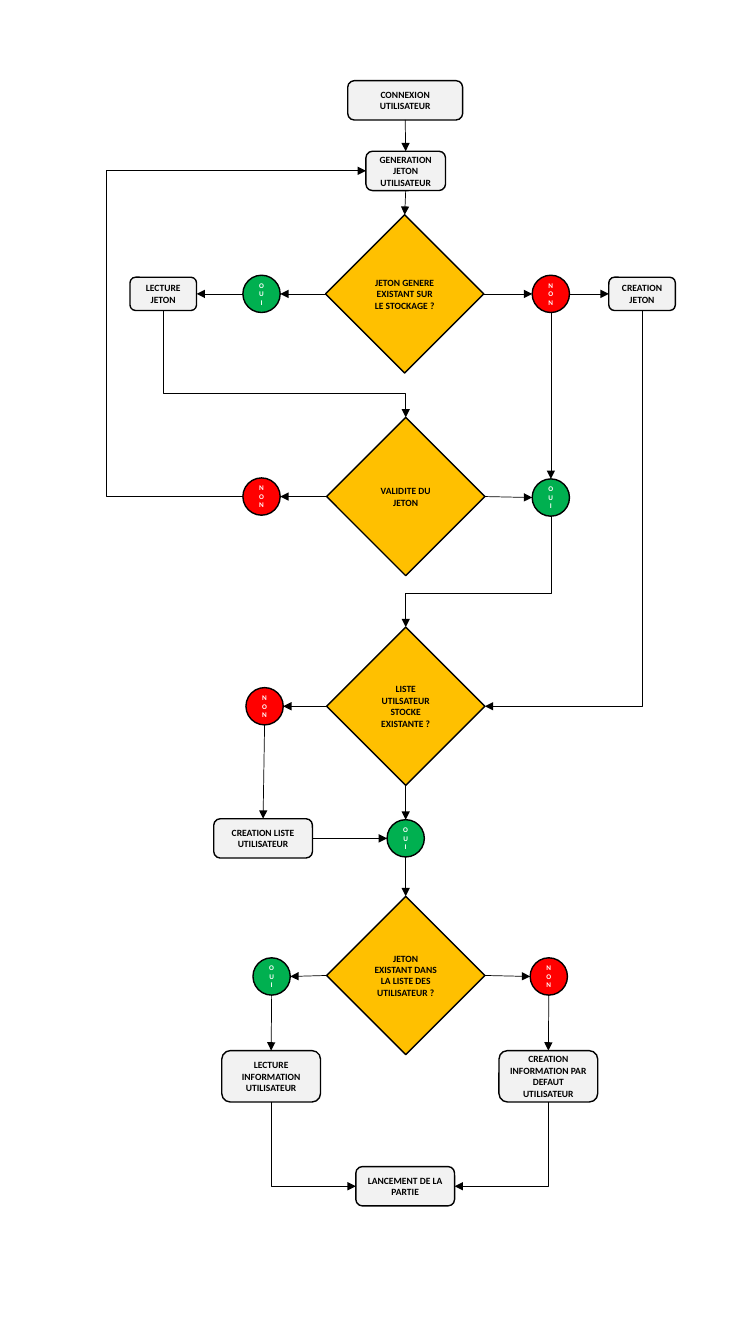
import lxml.etree
import pptx
import pptx.dml.color
import pptx.enum.shapes
import pptx.enum.text
import pptx.oxml.ns
import pptx.util

RGBColor = pptx.dml.color.RGBColor
SHAPES = pptx.enum.shapes.MSO_SHAPE
CONNECTORS = pptx.enum.shapes.MSO_CONNECTOR

BLACK = RGBColor(0x00, 0x00, 0x00)
WHITE = RGBColor(0xFF, 0xFF, 0xFF)
GREY = RGBColor(0xF2, 0xF2, 0xF2)
AMBER = RGBColor(0xFF, 0xC0, 0x00)
GREEN = RGBColor(0x00, 0xB0, 0x50)
RED = RGBColor(0xFF, 0x00, 0x00)

PX = 9144  # 100 px to the inch
SLIDE_WIDTH, SLIDE_HEIGHT = 750, 1333
DIAMOND, CIRCLE = 157, 37

# Steps: name: (text, left, top, width, height)
STEPS = {
    "connect": ("CONNEXION UTILISATEUR", 345, 80, 114, 39),
    "generate": ("GENERATION JETON UTILISATEUR", 363, 150, 79, 39),
    "read token": ("LECTURE JETON", 129, 275, 66, 33),
    "create token": ("CREATION JETON", 604, 275, 66, 33),
    "create list": ("CREATION LISTE UTILISATEUR", 212, 812, 98, 39),
    "read info": ("LECTURE INFORMATION UTILISATEUR", 220, 1042, 98, 51),
    "create info": ("CREATION INFORMATION PAR DEFAUT UTILISATEUR", 495, 1042, 98, 51),
    "launch": ("LANCEMENT DE LA PARTIE", 353, 1157, 98, 39),
}

# Decisions: name: (text, left, top)
DECISIONS = {
    "stored?": ("JETON GENERE EXISTANT SUR LE STOCKAGE ?", 323, 213),
    "valid?": ("VALIDITE DU JETON", 324, 414),
    "list?": ("LISTE UTILSATEUR STOCKE EXISTANTE ?", 324, 622),
    "in list?": ("JETON EXISTANT DANS LA LISTE DES UTILISATEUR ?", 324, 889),
}

# Answers: name: (text, left, top)
ANSWERS = {
    "stored yes": ("OUI", 241, 273),
    "stored no": ("NON", 528, 273),
    "valid no": ("NON", 241, 474),
    "valid yes": ("OUI", 528, 475),
    "list no": ("NON", 244, 682),
    "list yes": ("OUI", 384, 813),
    "in list yes": ("OUI", 251, 950),
    "in list no": ("NON", 526, 950),
}

# Straight arrows: (from, side, to, side)
ARROWS = [
    ("connect", "bottom", "generate", "top"),
    ("generate", "bottom", "stored?", "top"),
    ("stored?", "left", "stored yes", "right"),
    ("stored?", "right", "stored no", "left"),
    ("stored yes", "left", "read token", "right"),
    ("stored no", "right", "create token", "left"),
    ("stored no", "bottom", "valid yes", "top"),
    ("valid?", "left", "valid no", "right"),
    ("valid?", "right", "valid yes", "left"),
    ("list?", "left", "list no", "right"),
    ("list?", "bottom", "list yes", "top"),
    ("list no", "bottom", "create list", "top"),
    ("create list", "right", "list yes", "left"),
    ("list yes", "bottom", "in list?", "top"),
    ("in list?", "left", "in list yes", "right"),
    ("in list?", "right", "in list no", "left"),
    ("in list yes", "bottom", "read info", "top"),
    ("in list no", "bottom", "create info", "top"),
]

# Bent arrows: (from, side, to, side, position of the middle leg or None for one corner)
BENT_ARROWS = [
    ("read token", "bottom", "valid?", "top", 390),
    ("valid yes", "bottom", "list?", "top", 589),
    ("valid no", "left", "generate", "left", 106),
    ("create token", "bottom", "list?", "right", None),
    ("read info", "bottom", "launch", "left", None),
    ("create info", "bottom", "launch", "right", None),
]

SIDES = {"top": (0.5, 0), "left": (0, 0.5), "bottom": (0.5, 1), "right": (1, 0.5)}


def set_attributes(target, values):
    for name, value in values.items():
        setattr(target, name, value)


def add_node(slide, kind, text, box, fill, color, size, inset):
    shape = slide.shapes.add_shape(kind, *(length * PX for length in box))
    shape.shadow.inherit = False
    shape.fill.solid()
    shape.fill.fore_color.rgb = fill
    shape.line.color.rgb = BLACK
    shape.line.width = pptx.util.Pt(1)
    frame = shape.text_frame
    set_attributes(frame, {
        "word_wrap": True, "vertical_anchor": pptx.enum.text.MSO_ANCHOR.MIDDLE,
        "margin_left": inset * PX, "margin_right": inset * PX,
        "margin_top": inset * PX // 2, "margin_bottom": inset * PX // 2,
    })
    paragraph = frame.paragraphs[0]
    paragraph.alignment = pptx.enum.text.PP_ALIGN.CENTER
    run = paragraph.add_run()
    run.text = text
    set_attributes(run.font, {"name": "Calibri", "size": pptx.util.Pt(size), "bold": True})
    run.font.color.rgb = color


def side_point(box, side):
    left, top, width, height = box
    across, down = SIDES[side]
    return left + across * width, top + down * height


def add_arrow(slide, kind, start, end):
    connector = slide.shapes.add_connector(
        kind, *(round(value * PX) for value in (*start, *end)))
    connector.line.color.rgb = BLACK
    connector.line.width = pptx.util.Pt(0.5)
    qualified = pptx.oxml.ns.qn
    properties = connector.element.spPr
    lxml.etree.SubElement(properties.find(qualified("a:ln")), qualified("a:tailEnd"), type="triangle")
    lxml.etree.SubElement(properties, qualified("a:effectLst"))
    return connector


def add_bent_arrow(slide, start, end, from_side, middle):
    (x1, y1), (x2, y2) = start, end
    downward = from_side == "bottom"
    if downward:
        # Lay the elbow on its side; a quarter turn then sends it downward
        center_x, center_y = (x1 + x2) / 2, (y1 + y2) / 2
        half_run, half_rise = (y2 - y1) / 2, (x2 - x1) / 2
        start = center_x - half_run, center_y + half_rise
        end = center_x + half_run, center_y - half_rise
    connector = add_arrow(slide, CONNECTORS.ELBOW, start, end)
    qualified = pptx.oxml.ns.qn
    properties = connector.element.spPr
    if downward:
        properties.find(qualified("a:xfrm")).set("rot", str(90 * 60000))
    geometry = properties.find(qualified("a:prstGeom"))
    if middle is None:
        geometry.set("prst", "bentConnector2")
    else:
        first, last = (y1, y2) if downward else (x1, x2)
        share = round((middle - first) / (last - first) * 100000)
        guides = geometry.find(qualified("a:avLst"))
        lxml.etree.SubElement(guides, qualified("a:gd"), name="adj1", fmla=f"val {share}")


def main():
    presentation = pptx.Presentation()
    presentation.slide_width = SLIDE_WIDTH * PX
    presentation.slide_height = SLIDE_HEIGHT * PX
    slide = presentation.slides.add_slide(presentation.slide_layouts[6])

    # Steps, decisions and answers
    boxes = {}
    for name, (text, *box) in STEPS.items():
        boxes[name] = box
        add_node(slide, SHAPES.ROUNDED_RECTANGLE, text, box, GREY, BLACK, 6.8, 8)
    for name, (text, left, top) in DECISIONS.items():
        boxes[name] = (left, top, DIAMOND, DIAMOND)
        add_node(slide, SHAPES.DIAMOND, text, boxes[name], AMBER, BLACK, 6.8, 8)
    for name, (text, left, top) in ANSWERS.items():
        boxes[name] = (left, top, CIRCLE, CIRCLE)
        fill = GREEN if text == "OUI" else RED
        add_node(slide, SHAPES.OVAL, text, boxes[name], fill, WHITE, 5.1, 10)

    # Arrows
    for source, from_side, target, to_side in ARROWS:
        add_arrow(slide, CONNECTORS.STRAIGHT,
                  side_point(boxes[source], from_side), side_point(boxes[target], to_side))
    for source, from_side, target, to_side, middle in BENT_ARROWS:
        add_bent_arrow(slide, side_point(boxes[source], from_side),
                       side_point(boxes[target], to_side), from_side, middle)

    presentation.save("out.pptx")


if __name__ == "__main__":
    main()
